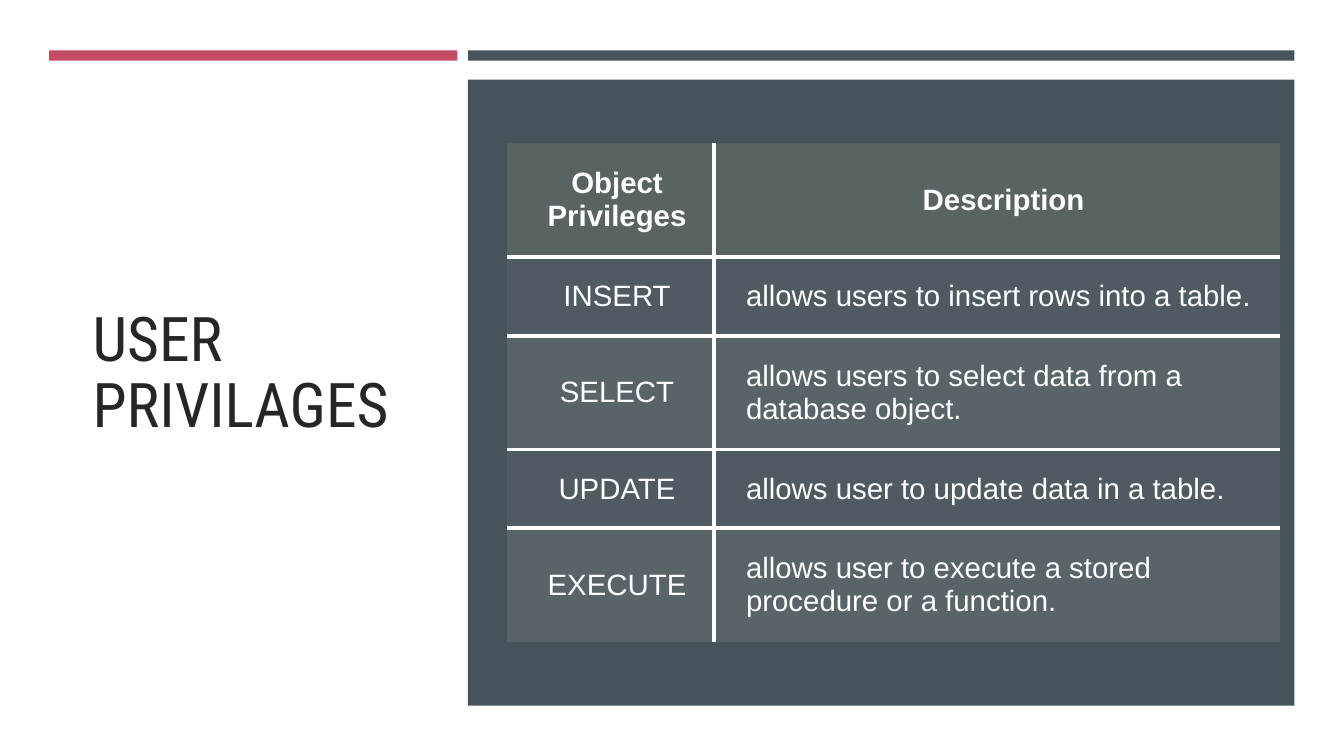
from lxml import etree
from pptx import Presentation
from pptx import util as u
from pptx.dml import color
from pptx.enum import shapes, text
from pptx.oxml import ns

WHITE, INK, ROSE, SLATE = "FFFFFF", "262626", "C34D64", "465359"
HEADER, BAND = "636B68", "878E8B"
ROWS = [
    ("Object Privileges", "Description"),
    ("INSERT", "allows users to insert rows into a table."),
    ("SELECT", "allows users to select data from a database object."),
    ("UPDATE", "allows user to update data in a table."),
    ("EXECUTE", "allows user to execute a stored procedure or a function."),
]
COL_WIDTHS = (5.21, 14.27)
ROW_HEIGHTS = (2.87, 1.98, 2.87, 1.98, 2.87)


def rgb(value):
    """Return the colour for a hex string."""
    return color.RGBColor.from_string(value)


class Deck:
    """Hold the style and the current slide."""

    title_font, body_font = "Roboto Condensed", "Arial"
    title_size, body_size, rule_width = 44, 21, 3

    def __init__(self, prs):
        """Start a title-only slide on white."""
        self.s = prs.slides.add_slide(prs.slide_layouts[5])
        fill = self.s.background.fill
        fill.solid()
        fill.fore_color.rgb = rgb(WHITE)

    def font(self, r, name, size, colour, bold=False):
        """Format one run."""
        r.font.name, r.font.size, r.font.bold = name, u.Pt(size), bold
        r.font.color.rgb = rgb(colour)

    def title(self, words, x, y, w, h):
        """Place and format the title."""
        sp = self.s.shapes.title
        sp.left, sp.top, sp.width, sp.height = map(u.Cm, (x, y, w, h))
        tf = sp.text_frame
        tf.text = words
        tf.word_wrap = True
        tf.auto_size = text.MSO_AUTO_SIZE.NONE
        tf.vertical_anchor = text.MSO_ANCHOR.MIDDLE
        p = tf.paragraphs[0]
        p.alignment, p.line_spacing = text.PP_ALIGN.LEFT, 0.9
        self.font(p.runs[0], self.title_font, self.title_size, INK)

    def block(self, colour, x, y, w, h):
        """Draw a plain filled rectangle."""
        sp = self.s.shapes.add_shape(
            shapes.MSO_SHAPE.RECTANGLE, *map(u.Cm, (x, y, w, h)))
        sp.shadow.inherit = False
        sp.fill.solid()
        sp.fill.fore_color.rgb = rgb(colour)
        sp.line.fill.background()

    def borders(self, cell, drawn):
        """Draw the named cell edges and clear the others."""
        tc_pr = cell._tc.get_or_add_tcPr()
        for i, edge in enumerate("LRTB"):
            ln = etree.Element(ns.qn(f"a:ln{edge}"), w=str(u.Pt(self.rule_width)))
            if edge in drawn:
                fill = etree.SubElement(ln, ns.qn("a:solidFill"))
                etree.SubElement(fill, ns.qn("a:srgbClr"), val=WHITE)
            else:
                etree.SubElement(ln, ns.qn("a:noFill"))
            tc_pr.insert(i, ln)

    def cell(self, cell, words, colour, opacity, centred, bold):
        """Fill a table cell and format its text."""
        cell.fill.solid()
        cell.fill.fore_color.rgb = rgb(colour)
        clr = cell._tc.tcPr.find(".//" + ns.qn("a:srgbClr"))
        etree.SubElement(clr, ns.qn("a:alpha"), val=str(opacity * 1000))
        cell.margin_left = u.Cm(0.81)
        cell.margin_right = cell.margin_top = cell.margin_bottom = u.Cm(0.48)
        cell.vertical_anchor = text.MSO_ANCHOR.MIDDLE
        cell.text_frame.text = words
        p = cell.text_frame.paragraphs[0]
        p.alignment = text.PP_ALIGN.CENTER if centred else text.PP_ALIGN.LEFT
        self.font(p.runs[0], self.body_font, self.body_size, WHITE, bold)

    def table(self, rows, x, y, widths, heights):
        """Build a banded table with inner rules only."""
        last_row, last_col = len(rows) - 1, len(widths) - 1
        table = self.s.shapes.add_table(
            len(rows), len(widths),
            *map(u.Cm, (x, y, sum(widths), sum(heights)))).table
        for col, w in zip(table.columns, widths):
            col.width = u.Cm(w)
        for i, words in enumerate(rows):
            table.rows[i].height = u.Cm(heights[i])
            head = i == 0
            colour, opacity = (HEADER, 70) if head else (BAND, 15 if i % 2 else 30)
            for j, word in enumerate(words):
                cell = table.cell(i, j)
                self.cell(cell, word, colour, opacity, head or j == 0, head)
                inner = {"L": j > 0, "R": j < last_col, "T": i > 0, "B": i < last_row}
                self.borders(cell, [edge for edge in inner if inner[edge]])


def main():
    """Build the slide and save it."""
    prs = Presentation()
    prs.slide_width, prs.slide_height = u.Cm(33.87), u.Cm(19.05)
    deck = Deck(prs)
    deck.title("USER PRIVILAGES", 2.08, 2.9, 8.48, 13.08)
    deck.block(ROSE, 1.24, 1.27, 10.29, 0.26)
    deck.block(SLATE, 11.79, 1.27, 20.83, 0.26)
    deck.block(SLATE, 11.79, 2.01, 20.83, 15.77)
    deck.table(ROWS, 12.78, 3.61, COL_WIDTHS, ROW_HEIGHTS)
    prs.save("out.pptx")


if __name__ == "__main__":
    main()
